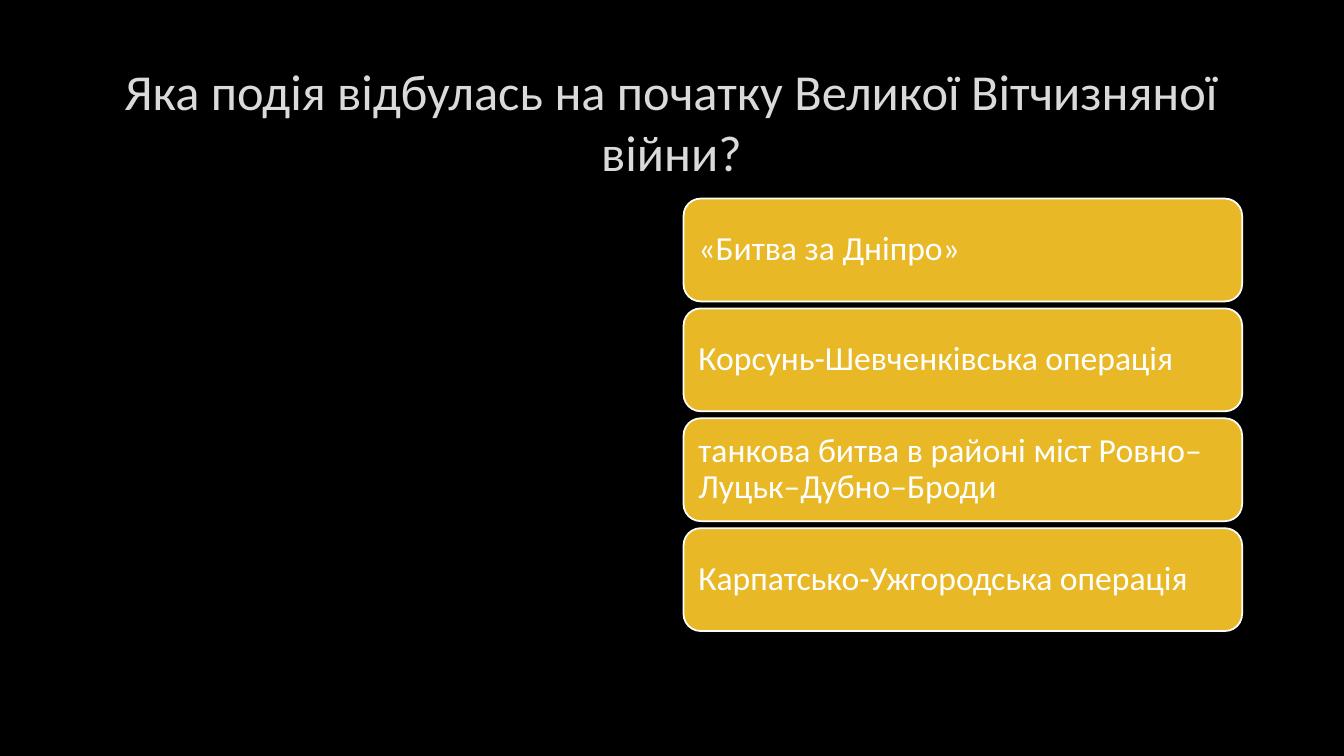
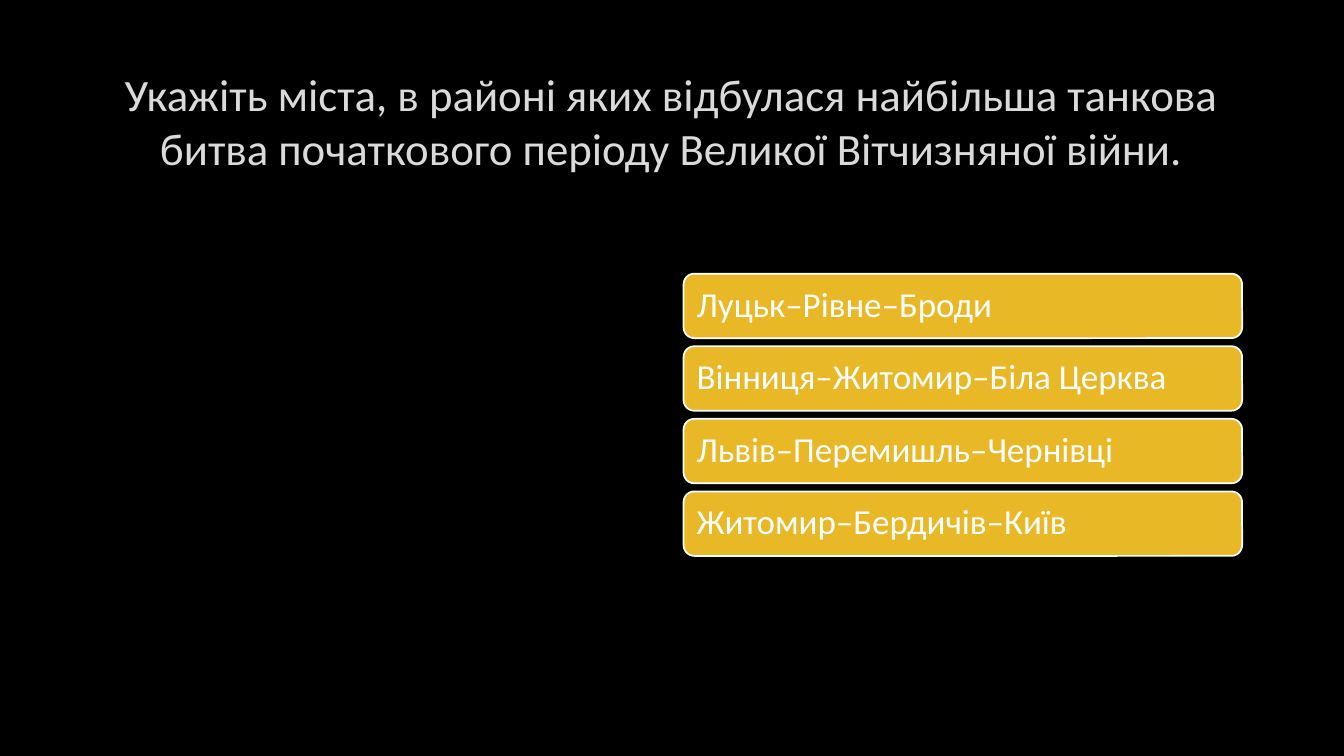
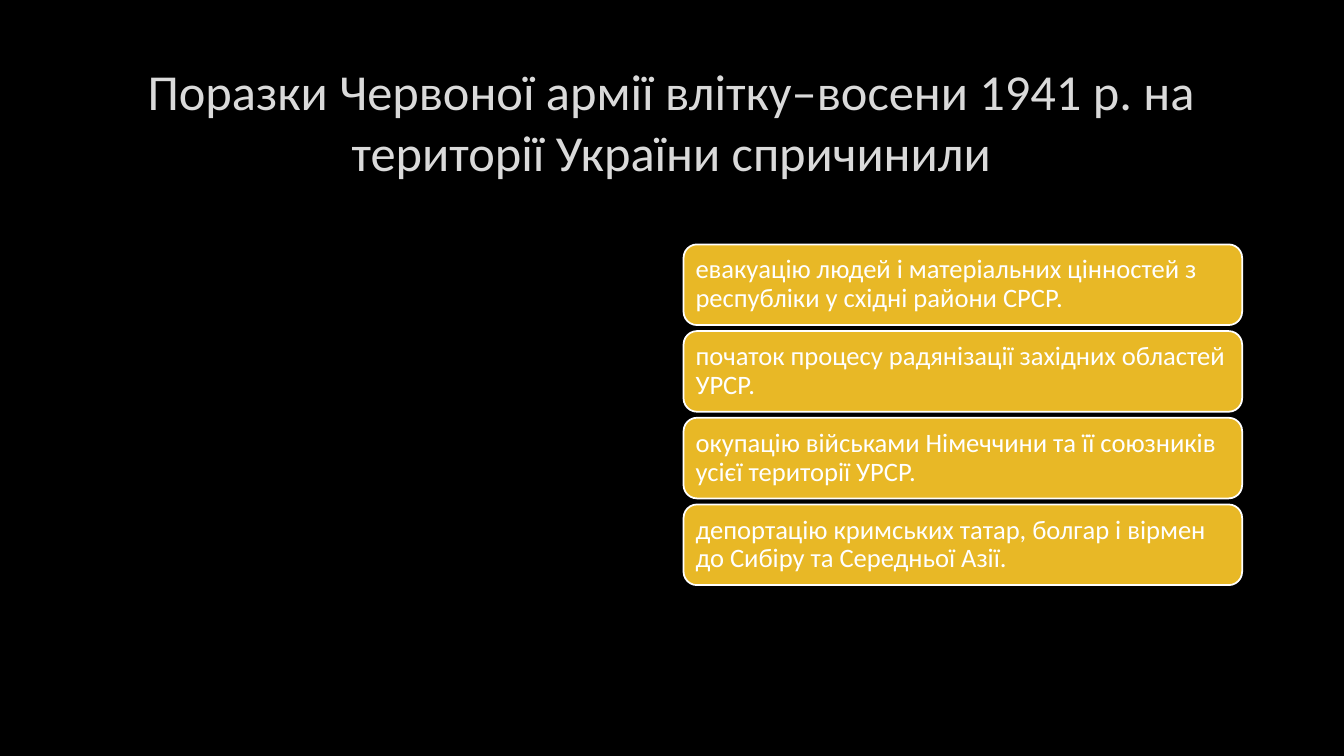
import pptx
import pptx.util
import pptx.dml.color
import pptx.enum.shapes
import pptx.enum.text

COLORS = {
    "background": "000000",
    "title": "DADADA",
    "answer": "E8B826",
    "white": "FFFFFF",
}
FONT = "Calibri"
TITLE_BOX = (1, 0.67, 11.32, 1.06)
ANSWER_BOX = (6.78, 1.97, 5.54, 4.29)

QUESTIONS = [
    {
        "title": "Яка подія відбулась на початку Великої Вітчизняної війни?",
        "title_size": 36,
        "answers": [
            "«Битва за Дніпро»",
            "Корсунь-Шевченківська операція",
            "танкова битва в районі міст Ровно–Луцьк–Дубно–Броди",
            "Карпатсько-Ужгородська операція",
        ],
        "answer_size": 24, "height": 1.02, "gap": 0.07, "inset": 0.1,
    },
    {
        "title": "Укажіть міста, в районі яких відбулася найбільша танкова битва "
                 "початкового періоду Великої Вітчизняної війни.",
        "title_size": 32,
        "answers": [
            "Луцьк–Рівне–Броди",
            "Вінниця–Житомир–Біла Церква",
            "Львів–Перемишль–Чернівці",
            "Житомир–Бердичів–Київ",
        ],
        "answer_size": 25, "height": 0.64, "gap": 0.08, "inset": 0.1,
    },
    {
        "title": "Поразки Червоної армії влітку–восени 1941 р. на території "
                 "України спричинили",
        "title_size": 36,
        "answers": [
            "евакуацію людей і матеріальних цінностей з республіки у східні райони СРСР.",
            "початок процесу радянізації західних областей УРСР.",
            "окупацію військами Німеччини та її союзників усієї території УРСР.",
            "депортацію кримських татар, болгар і вірмен до Сибіру та Середньої Азії.",
        ],
        "answer_size": 19, "height": 0.8, "gap": 0.06, "inset": 0.08,
    },
]


def color(name):
    return pptx.dml.color.RGBColor.from_string(COLORS[name])


def write_text(shape, text, size, color_name, alignment):
    frame = shape.text_frame
    frame.text = text
    frame.word_wrap = True
    frame.auto_size = pptx.enum.text.MSO_AUTO_SIZE.NONE
    frame.vertical_anchor = pptx.enum.text.MSO_ANCHOR.MIDDLE
    paragraph = frame.paragraphs[0]
    paragraph.alignment = alignment
    paragraph.font.name = FONT
    paragraph.font.size = pptx.util.Pt(size)
    paragraph.font.color.rgb = color(color_name)
    return frame


def place_title(slide, box, text, size):
    title = slide.shapes.title
    title.left, title.top, title.width, title.height = map(pptx.util.Inches, box)
    write_text(title, text, size, "title", pptx.enum.text.PP_ALIGN.CENTER)


def add_answer(slide, box, text, size, inset):
    answer = slide.shapes.add_shape(
        pptx.enum.shapes.MSO_SHAPE.ROUNDED_RECTANGLE, *map(pptx.util.Inches, box))
    answer.shadow.inherit = False
    answer.fill.solid()
    answer.fill.fore_color.rgb = color("answer")
    answer.line.color.rgb = color("white")
    answer.line.width = pptx.util.Pt(1.25)
    frame = write_text(answer, text, size, "white", pptx.enum.text.PP_ALIGN.LEFT)
    frame.margin_left = frame.margin_right = pptx.util.Inches(inset)
    frame.margin_top = frame.margin_bottom = pptx.util.Inches(inset)
    frame.paragraphs[0].line_spacing = 0.9


def add_answer_stack(slide, box, question):
    """Stack the answers at equal gaps, centred vertically in the box."""
    left, top, width, box_height = box
    answers, height = question["answers"], question["height"]
    pitch = height + question["gap"]
    stack_height = pitch * len(answers) - question["gap"]
    first_top = top + (box_height - stack_height) / 2
    for row, text in enumerate(answers):
        add_answer(slide, (left, first_top + row * pitch, width, height),
                   text, question["answer_size"], question["inset"])


def add_question_slide(presentation, question):
    slide = presentation.slides.add_slide(presentation.slide_layouts[5])
    place_title(slide, TITLE_BOX, question["title"], question["title_size"])
    add_answer_stack(slide, ANSWER_BOX, question)


def main():
    presentation = pptx.Presentation()
    presentation.slide_width = pptx.util.Inches(13.33)
    presentation.slide_height = pptx.util.Inches(7.5)
    background = presentation.slide_master.background.fill
    background.solid()
    background.fore_color.rgb = color("background")
    for question in QUESTIONS:
        add_question_slide(presentation, question)
    presentation.save("out.pptx")


if __name__ == "__main__":
    main()
